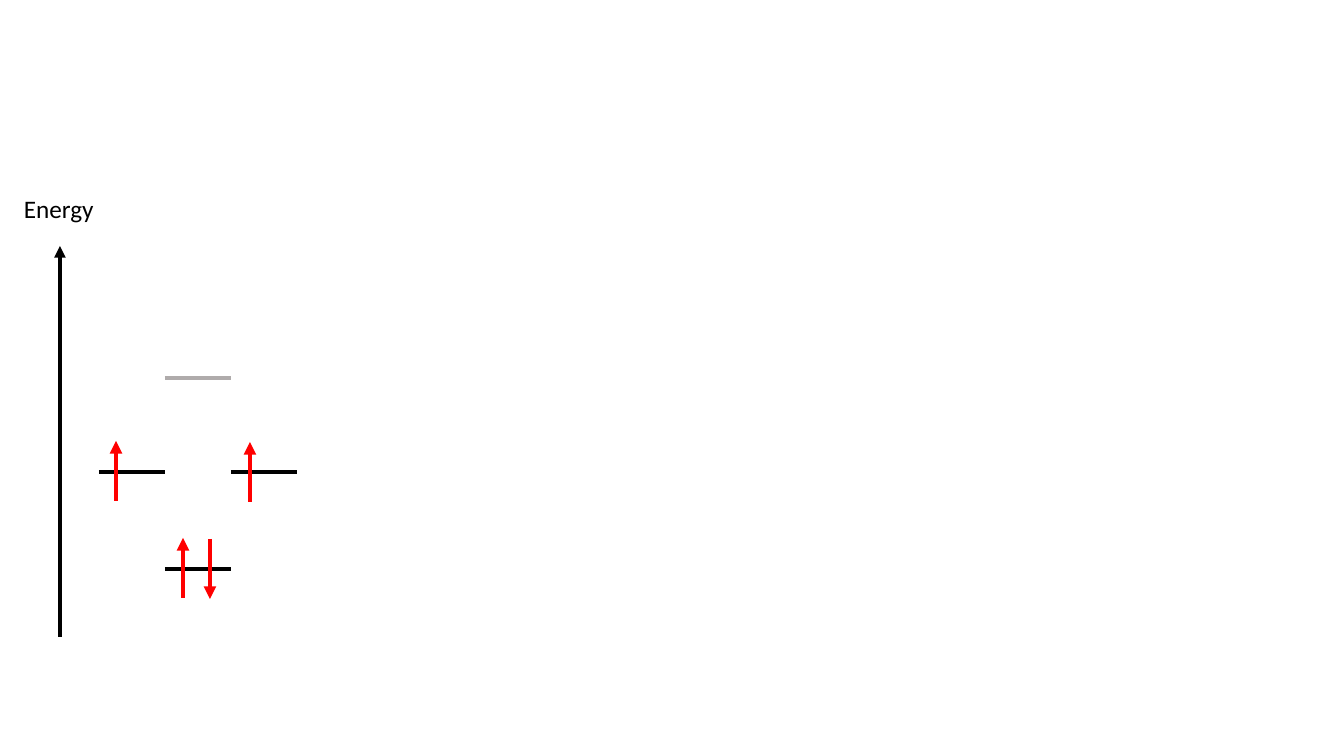
from lxml import etree
from pptx import Presentation, util as u
from pptx.dml.color import RGBColor
from pptx.enum import shapes, text
from pptx.oxml.ns import qn

PX = 914400 / 100.8
COLORS = {"black": "000000", "empty": "AFABAB", "spin": "FF0000"}


def px(n):
    return u.Emu(round(n * PX))


def add_line(x1, y1, x2, y2, color, width=3, arrow=False):
    c = diagram.shapes.add_connector(
        shapes.MSO_CONNECTOR.STRAIGHT, px(x1), px(y1), px(x2), px(y2))
    c.line.color.rgb = RGBColor.from_string(COLORS[color])
    c.line.width = u.Pt(width)
    if arrow:
        etree.SubElement(c.line._get_or_add_ln(), qn("a:tailEnd"), type="triangle")
    etree.SubElement(c._element.spPr, qn("a:effectLst"))


prs = Presentation()
prs.slide_width, prs.slide_height = px(1344), px(756)
s = prs.slides.add_slide(prs.slide_layouts[6])
diagram = s.shapes.add_group_shape()

# Energy axis
add_line(60, 637, 60, 246, "black", width=2.75, arrow=True)
sp = diagram.shapes.add_textbox(px(14), px(188), px(158), px(40))
tf = sp.text_frame
tf.word_wrap = True
tf.auto_size = text.MSO_AUTO_SIZE.SHAPE_TO_FIT_TEXT
r = tf.paragraphs[0].add_run()
r.text = "Energy"
r.font.name, r.font.size = "Calibri", u.Pt(18)
r.font.color.rgb = RGBColor.from_string(COLORS["black"])

# Orbital levels: column, height, colour
LEFT, LEVEL = 99, 66
for col, y, color in [(0, 472, "black"), (1, 378, "empty"),
                      (1, 569, "black"), (2, 472, "black")]:
    x = LEFT + col * LEVEL
    add_line(x, y, x + LEVEL, y, color)

# Electron spins: x, start, direction (-1 up, 1 down)
SPIN = 60
for x, y, way in [(116, 501, -1), (250, 502, -1), (183, 598, -1), (210, 539, 1)]:
    add_line(x, y, x, y + way * SPIN, "spin", arrow=True)

prs.save("out.pptx")
